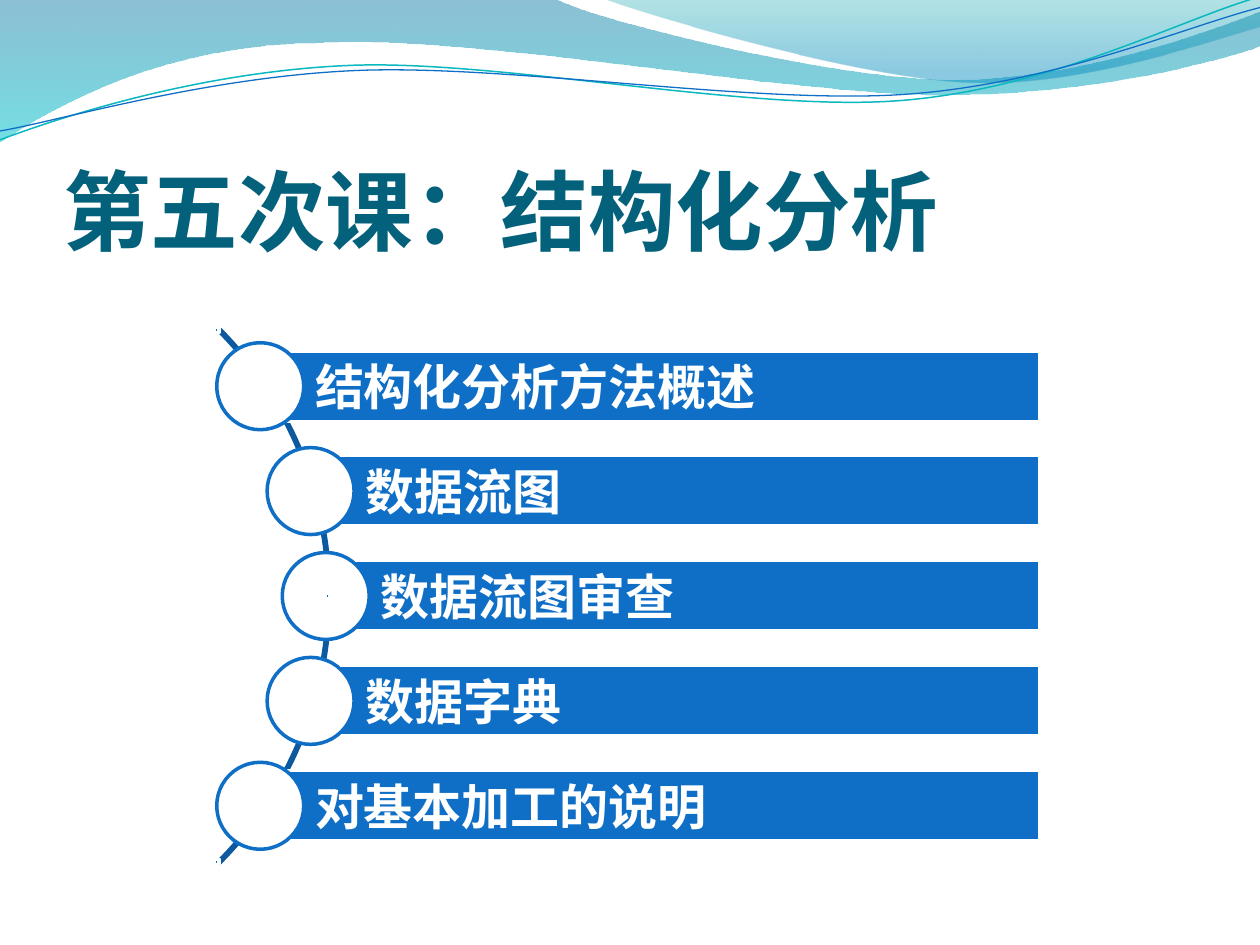
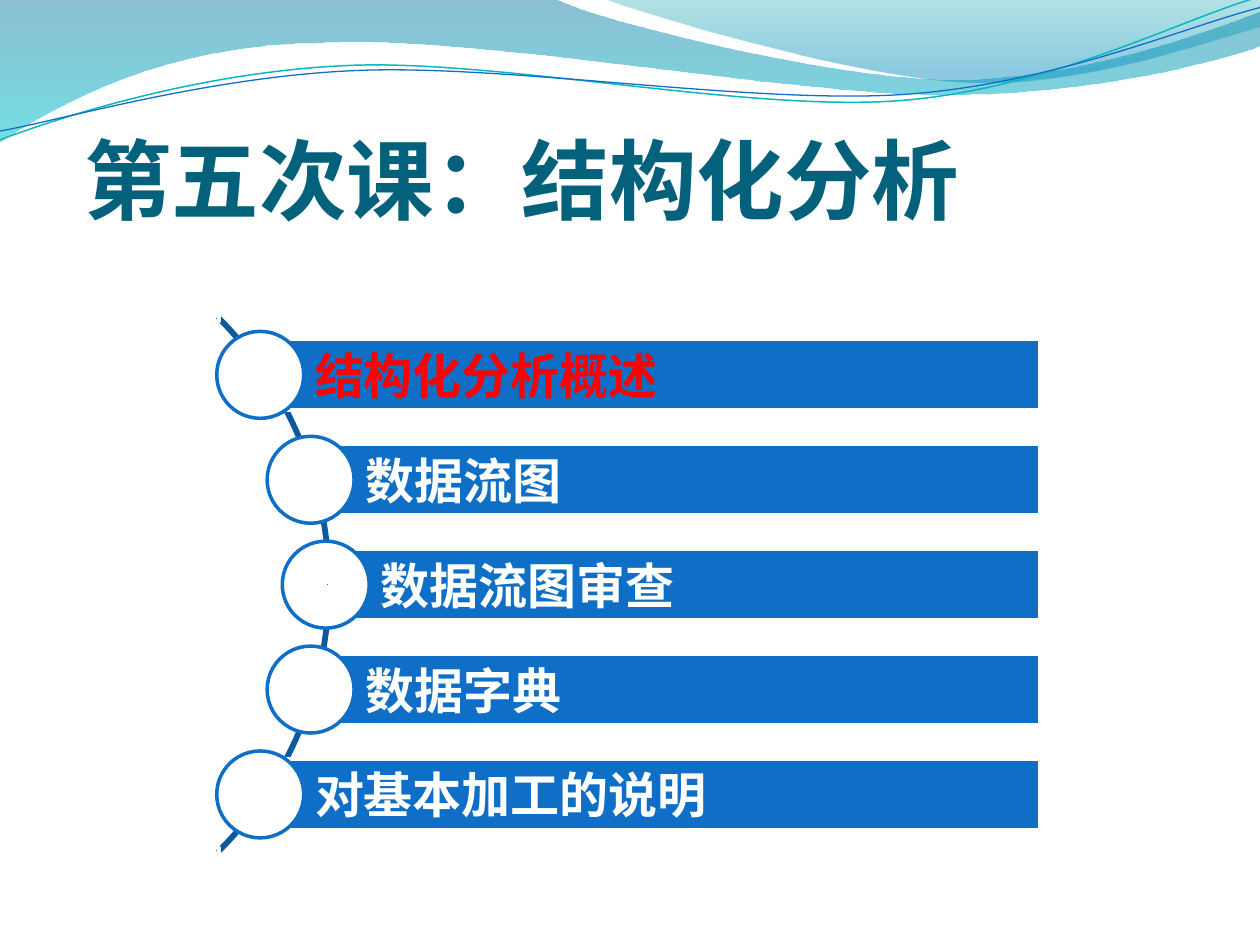
from lxml import etree
from pptx import Presentation
from pptx.dml.color import RGBColor
from pptx.enum import shapes, text
from pptx.oxml.ns import qn
from pptx.util import Inches, Pt

BLUE, DARK_BLUE, TEAL = "0F6FC6", "0C599F", "0AB8BF"
WHITE, RED, TITLE_COLOUR = "FFFFFF", "FF0000", "04617B"
CJK_FONT, TOPIC_FONT = "Noto Sans CJK SC", "Vollkorn"

TITLE = "第五次课：结构化分析"
LATER_TOPICS = ["数据流图", "数据流图审查", "数据字典", "对基本加工的说明"]
SLIDES = [
    {"title_at": (0.5, 0.83), "centre_y": 4.73,
     "topics": ["结构化分析方法概述"] + LATER_TOPICS, "current": None},
    {"title_at": (0.67, 0.58), "centre_y": 4.64,
     "topics": ["结构化分析概述"] + LATER_TOPICS, "current": 0},
]

# Each step holds one end point (straight) or two handles and an end point (curve).
# Gradient stops are position, colour and opacity in percent.
WAVES = [
    {"start": (0, -0.01), "closed": True,
     "steps": [[(4.4, -0.01)],
               [(4.76, 0.17), (6.64, 0.63), (7.58, 0.63)],
               [(8.53, 0.63), (9.58, 0.26), (10, 0.09)],
               [(10.01, 0.36)],
               [(9.83, 0.44), (8.7, 0.76), (7.46, 0.75)],
               [(6.22, 0.75), (3.82, 0.28), (2.57, 0.34)],
               [(1.29, 0.35), (0.46, 0.83), (-0.01, 1.13)],
               [(0, -0.01)]],
     "gradient": [(0, "0074A1", 45), (1, "00C6CF", 55)]},
    {"start": (4.79, -0.01), "closed": True,
     "steps": [[(5.09, 0.11), (6.82, 0.62), (7.69, 0.65)],
               [(8.56, 0.69), (9.61, 0.32), (10, 0.21)],
               [(10, 0)],
               [(4.79, -0.01)]],
     "gradient": [(0, "00A1A9", 30), (0.8, "008BBF", 45)]},
    {"start": (0, 1.11), "closed": False,
     "steps": [[(0.48, 0.93), (1.58, 0.57), (2.77, 0.52)],
               [(3.95, 0.47), (5.93, 0.89), (7.13, 0.8)],
               [(8.33, 0.71), (9.38, 0.15), (9.98, -0.02)]],
     "line": (TEAL, 0.85)},
    {"start": (0, 1.04), "closed": False,
     "steps": [[(0.47, 0.96), (1.64, 0.61), (2.83, 0.56)],
               [(4.03, 0.51), (5.97, 0.83), (7.17, 0.75)],
               [(8.36, 0.67), (9.41, 0.21), (10, 0.06)]],
     "line": (BLUE, 0.75)},
]

TITLE_SIZE = (7.33, 1.25)
ARC_LEFT, ARC_SIZE = -3.39, 6.01
ARC_ADJUSTMENTS = (189, 27, 0.003)
FIRST_BAR_LEFT, BAR_RIGHT, BAR_HEIGHT = 2.06, 8.25, 0.56
INDENTS = [0, 0.4, 0.52, 0.4, 0]
TOPIC_SPAN = 3.33
CIRCLE_SIZE, CIRCLE_OVERHANG = 0.69, 0.34
MARKER_SIZE = 0.04
MARKERS = [(1.72, -2.11), (2.6, 0), (1.72, 2.11)]


def colour(hex_string):
    return RGBColor.from_string(hex_string)


def set_line(shape, hex_string, width):
    shape.line.color.rgb = colour(hex_string)
    shape.line.width = Pt(width)


def fill_gradient(shape, stops):
    shape.fill.gradient()
    shape.fill.gradient_angle = 270
    for stop, (position, hex_string, opacity) in zip(shape.fill.gradient_stops, stops):
        stop.position = position
        stop.color.rgb = colour(hex_string)
        solid = stop._gs.find(qn("a:srgbClr"))
        etree.SubElement(solid, qn("a:alpha")).set("val", str(opacity * 1000))


def bend_segments(shape, steps):
    """Join the straight segments of each three-point step into one curve."""
    segments = iter(list(shape._element.iter(qn("a:lnTo"))))
    for step in steps:
        first, *others = [next(segments) for _ in step]
        if others:
            first.tag = qn("a:cubicBezTo")
        for segment in others:
            first.append(segment[0])
            segment.getparent().remove(segment)


def add_wave(slide, wave):
    points = [point for step in wave["steps"] for point in step]
    builder = slide.shapes.build_freeform(*map(Inches, wave["start"]))
    builder.add_line_segments([(Inches(x), Inches(y)) for x, y in points], close=wave["closed"])
    shape = builder.convert_to_shape()
    bend_segments(shape, wave["steps"])
    shape.shadow.inherit = False
    if "gradient" in wave:
        fill_gradient(shape, wave["gradient"])
        shape.line.fill.background()
    else:
        shape.fill.background()
        set_line(shape, *wave["line"])
    return shape


def move_to_master(shape_list, master):
    """Put shapes behind the master's placeholders, so every slide shows them."""
    for index, shape in enumerate(shape_list):
        master.shapes._spTree.insert(2 + index, shape._element)


def add_preset(slide, kind, left, top, width, height, fill, line):
    shape = slide.shapes.add_shape(kind, *map(Inches, (left, top, width, height)))
    shape.shadow.inherit = False
    if fill:
        shape.fill.solid()
        shape.fill.fore_color.rgb = colour(fill)
    else:
        shape.fill.background()
    set_line(shape, line, 2)
    return shape


def set_text(shape, content, font_name, size, hex_string, anchor, margins):
    frame = shape.text_frame
    frame.text = content
    frame.word_wrap = True
    frame.auto_size = text.MSO_AUTO_SIZE.NONE
    frame.vertical_anchor = anchor
    (frame.margin_left, frame.margin_top,
     frame.margin_right, frame.margin_bottom) = map(Inches, margins)
    paragraph = frame.paragraphs[0]
    paragraph.alignment = text.PP_ALIGN.LEFT
    font = paragraph.runs[0].font
    font.name, font.size, font.bold = font_name, Pt(size), True
    font.color.rgb = colour(hex_string)
    east_asian = etree.SubElement(font._element, qn("a:ea"))
    east_asian.set("typeface", CJK_FONT)


def add_title(slide, position):
    title = slide.shapes.title
    title.left, title.top = map(Inches, position)
    title.width, title.height = map(Inches, TITLE_SIZE)
    set_text(title, TITLE, CJK_FONT, 50, TITLE_COLOUR,
             text.MSO_ANCHOR.BOTTOM, (0, 0.05, 0, 0))


def add_topics(slide, topics, current, centre_y):
    kinds = shapes.MSO_SHAPE
    arc = add_preset(slide, kinds.BLOCK_ARC, ARC_LEFT, centre_y - ARC_SIZE / 2,
                     ARC_SIZE, ARC_SIZE, None, DARK_BLUE)
    for index, value in enumerate(ARC_ADJUSTMENTS):
        arc.adjustments[index] = value

    pitch = TOPIC_SPAN / (len(topics) - 1)
    for index, (topic, indent) in enumerate(zip(topics, INDENTS)):
        left = FIRST_BAR_LEFT + indent
        y = centre_y - TOPIC_SPAN / 2 + index * pitch
        bar = add_preset(slide, kinds.RECTANGLE, left, y - BAR_HEIGHT / 2,
                         BAR_RIGHT - left, BAR_HEIGHT, BLUE, WHITE)
        set_text(bar, topic, TOPIC_FONT, 28, RED if index == current else WHITE,
                 text.MSO_ANCHOR.MIDDLE, (0.44, 0.08, 0.08, 0.08))
        add_preset(slide, kinds.OVAL, left - CIRCLE_OVERHANG, y - CIRCLE_SIZE / 2,
                   CIRCLE_SIZE, CIRCLE_SIZE, WHITE, BLUE)

    for x, offset in MARKERS:
        add_preset(slide, kinds.RECTANGLE, x - MARKER_SIZE / 2,
                   centre_y + offset - MARKER_SIZE / 2,
                   MARKER_SIZE, MARKER_SIZE, BLUE, WHITE)


def main():
    presentation = Presentation()
    presentation.slide_width, presentation.slide_height = Inches(10), Inches(7.5)
    layout = presentation.slide_layouts[5]
    for number, content in enumerate(SLIDES):
        slide = presentation.slides.add_slide(layout)
        if number == 0:
            move_to_master([add_wave(slide, wave) for wave in WAVES],
                           presentation.slide_master)
        add_title(slide, content["title_at"])
        add_topics(slide, content["topics"], content["current"], content["centre_y"])
    presentation.save("out.pptx")


if __name__ == "__main__":
    main()
